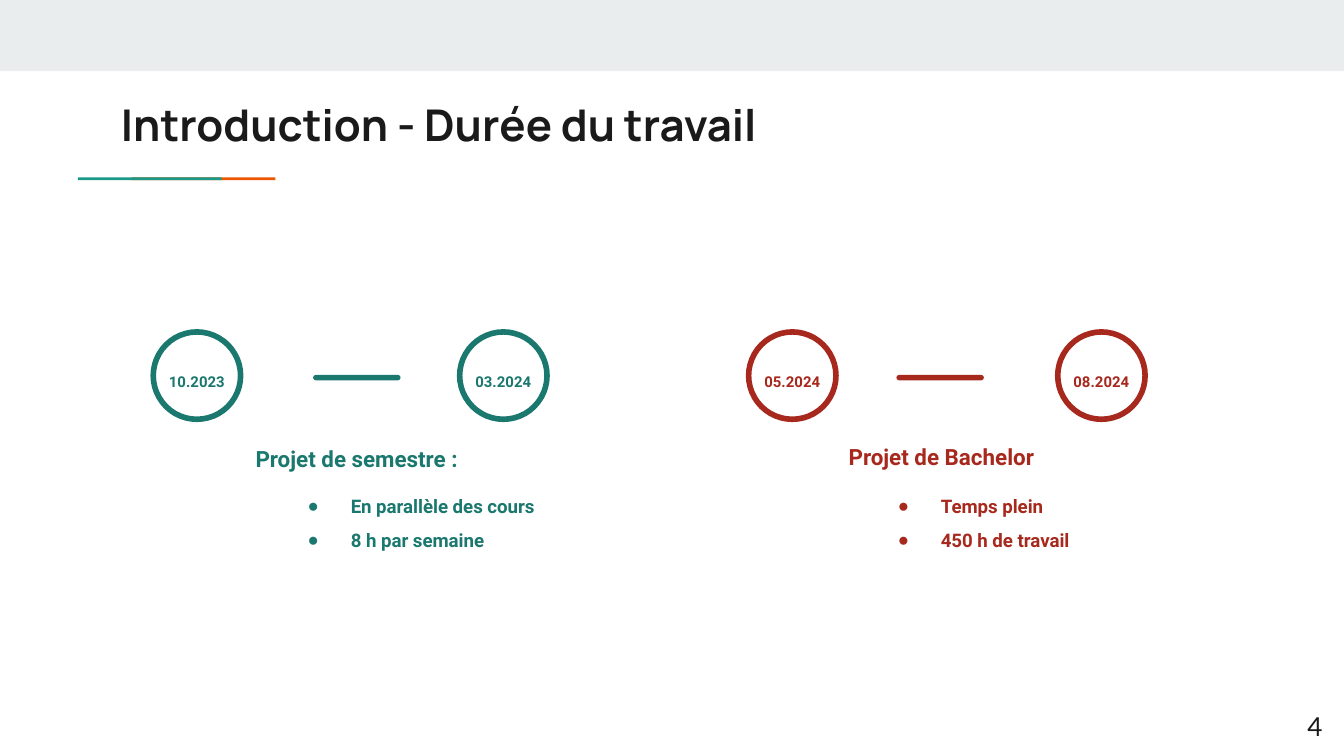
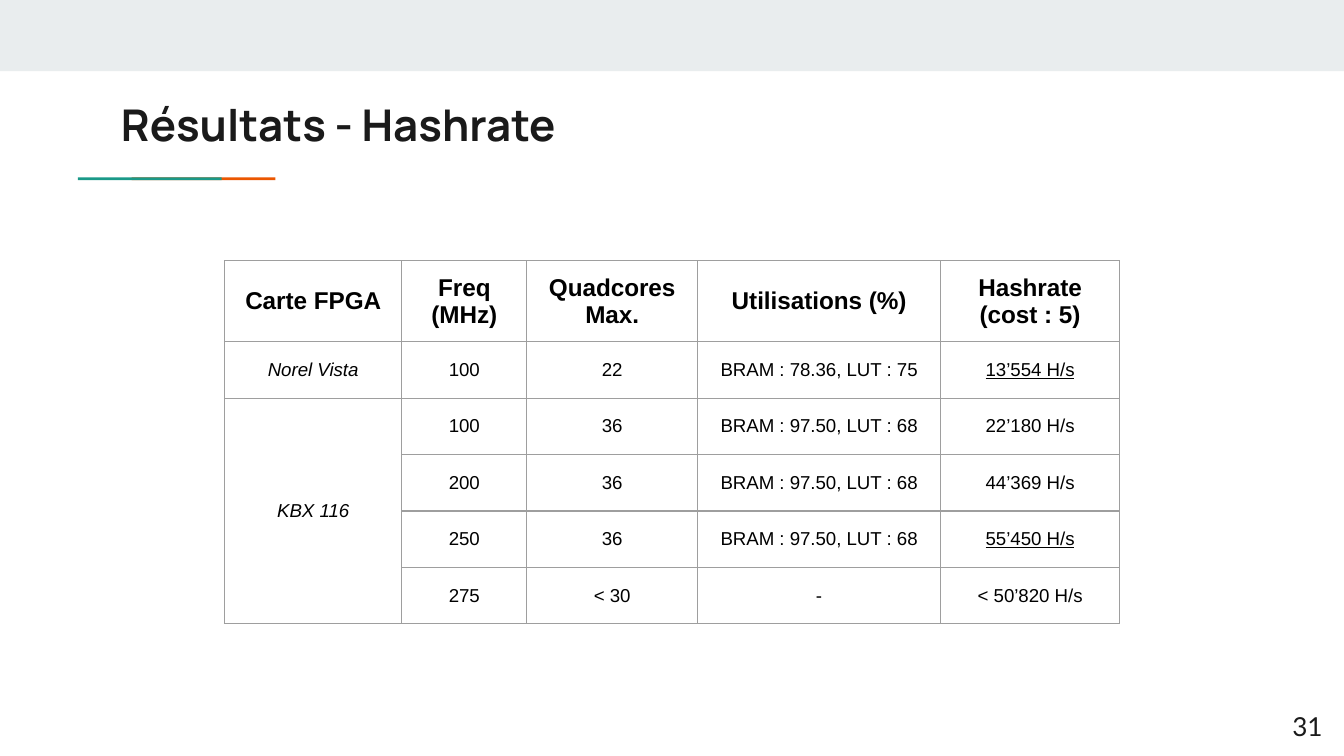
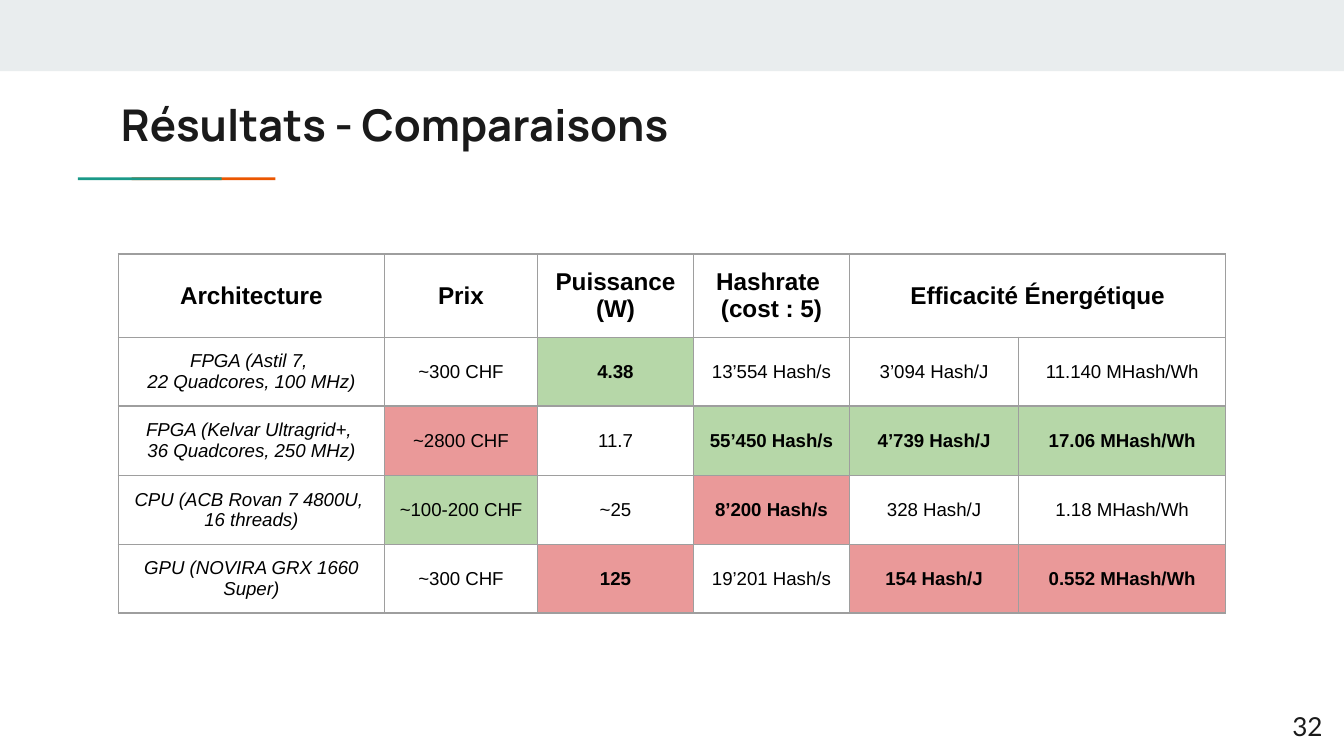
from dataclasses import dataclass

from lxml import etree
from pptx import Presentation
from pptx.dml.color import RGBColor
from pptx.enum.shapes import MSO_SHAPE
from pptx.enum.text import MSO_ANCHOR, MSO_AUTO_SIZE, PP_ALIGN
from pptx.oxml.ns import qn
from pptx.util import Inches, Pt

LEFT, CENTER, RIGHT = PP_ALIGN.LEFT, PP_ALIGN.CENTER, PP_ALIGN.RIGHT
TOP, MIDDLE, BOTTOM = MSO_ANCHOR.TOP, MSO_ANCHOR.MIDDLE, MSO_ANCHOR.BOTTOM
RECTANGLE, ROUNDED, OVAL = MSO_SHAPE.RECTANGLE, MSO_SHAPE.ROUNDED_RECTANGLE, MSO_SHAPE.OVAL
NO_AUTOFIT = MSO_AUTO_SIZE.NONE

# Shared colours, fonts and layouts
BAND, INK, BLACK = "E9EDEE", "1A1A1A", "000000"
ORANGE, TEAL = "EB5600", "1A9988"
GREEN, RED = "1B786F", "A7291E"
BEST, WORST, BORDER = "B6D7A8", "EA9999", "9E9E9E"
TITLE_FONT, NUMBER_FONT, BODY_FONT, TABLE_FONT = "Manrope", "Lato", "Roboto", "Arial"
TWO_CONTENT, TITLE_ONLY = 3, 5
MARGIN = Inches(0.1)


@dataclass(frozen=True)
class Phase:
    heading: str
    tasks: tuple[str, ...]
    dates: tuple[str, str]
    color: str
    circle_lefts: tuple[float, float]
    bar_left: float
    heading_left: float
    heading_top: float
    list_left: float


@dataclass(frozen=True)
class Cell:
    text: str
    fill: str = ""
    bold: bool = False
    underline: bool = False


@dataclass(frozen=True)
class Grid:
    left: float
    top: float
    widths: tuple[float, ...]
    heights: tuple[float, ...]
    rows: tuple[tuple, ...]
    merge: tuple[int, int, int, int]


PHASES = (
    Phase("Projet de semestre :", ("En parallèle des cours", "8 h par semaine"),
          ("10.2023", "03.2024"), GREEN, (1.14, 3.42), 2.33, 1.72, 3.12, 2.01),
    Phase("Projet de Bachelor", ("Temps plein", "450 h de travail"),
          ("05.2024", "08.2024"), RED, (5.57, 7.87), 6.67, 6.07, 3.11, 6.4),
)

HASHRATES = Grid(
    1.67, 1.94, (1.32, 0.93, 1.27, 1.81, 1.33), (0.6,) + (0.42,) * 5,
    (
        ("Carte FPGA", "Freq (MHz)", "Quadcores Max.", "Utilisations (%)", "Hashrate (cost : 5)"),
        ("Norel Vista", "100", "22", "BRAM : 78.36, LUT : 75", Cell("13’554 H/s", underline=True)),
        ("KBX 116", "100", "36", "BRAM : 97.50, LUT : 68", "22’180 H/s"),
        ("", "200", "36", "BRAM : 97.50, LUT : 68", "44’369 H/s"),
        ("", "250", "36", "BRAM : 97.50, LUT : 68", Cell("55’450 H/s", underline=True)),
        ("", "275", "< 30", "-", "< 50’820 H/s"),
    ),
    merge=(2, 0, 5, 0),
)

COMPARISONS = Grid(
    0.88, 1.89, (1.98, 1.14, 1.16, 1.16, 1.26, 1.54), (0.62, 0.51, 0.52, 0.51, 0.51),
    (
        ("Architecture", "Prix", "Puissance\n(W)", "Hashrate \n(cost : 5)",
         "Efficacité Énergétique", ""),
        ("FPGA (Astil 7, \n22 Quadcores, 100 MHz)", "~300 CHF", Cell("4.38", BEST, True),
         "13’554 Hash/s", "3’094 Hash/J", "11.140 MHash/Wh"),
        ("FPGA (Kelvar Ultragrid+, \n36 Quadcores, 250 MHz)", Cell("~2800 CHF", WORST), "11.7",
         Cell("55’450 Hash/s", BEST, True), Cell("4’739 Hash/J", BEST, True),
         Cell("17.06 MHash/Wh", BEST, True)),
        ("CPU (ACB Rovan 7 4800U, \n16 threads)", Cell("~100-200 CHF", BEST), "~25",
         Cell("8’200 Hash/s", WORST, True), "328 Hash/J", "1.18 MHash/Wh"),
        ("GPU (NOVIRA GRX 1660 Super)", "~300 CHF", Cell("125", WORST, True),
         "19’201 Hash/s", Cell("154 Hash/J", WORST, True),
         Cell("0.552 MHash/Wh", WORST, True)),
    ),
    merge=(0, 4, 0, 5),
)


def rgb(color: str) -> RGBColor:
    return RGBColor.from_string(color)


def add_bullet(para, color: str) -> None:
    properties = para._p.get_or_add_pPr()
    properties.set("marL", str(Inches(0.5)))
    properties.set("indent", str(Inches(-0.32)))
    bullet_color = etree.SubElement(properties, qn("a:buClr"))
    etree.SubElement(bullet_color, qn("a:srgbClr"), val=color)
    etree.SubElement(properties, qn("a:buChar"), char="●")


def write(frame, text: str, *, size: float, font: str, color: str, bold: bool = False,
          italic: bool = False, underline: bool = False, align=LEFT,
          spacing: float = 1.0, bullets: bool = False) -> None:
    """Fill a text frame, one paragraph for each line of the text."""
    frame.word_wrap = True
    for index, line in enumerate(text.split("\n")):
        para = frame.add_paragraph() if index else frame.paragraphs[0]
        if bullets:
            add_bullet(para, color)
        para.alignment = align
        para.line_spacing = spacing
        para.space_before = Pt(0)
        span = para.add_run()
        span.text = line
        span.font.size = Pt(size)
        span.font.name = font
        span.font.color.rgb = rgb(color)
        span.font.bold = bold
        span.font.italic = italic
        span.font.underline = underline


def place(box, left: float, top: float, width: float, height: float, anchor=TOP):
    """Move a text box or placeholder and return its text frame."""
    box.left, box.top = Inches(left), Inches(top)
    box.width, box.height = Inches(width), Inches(height)
    frame = box.text_frame
    frame.auto_size = NO_AUTOFIT
    frame.vertical_anchor = anchor
    frame.margin_left = frame.margin_right = MARGIN
    frame.margin_top = frame.margin_bottom = MARGIN
    return frame


def add_text(page, text: str, left: float, top: float, width: float, height: float,
             anchor=TOP, **style) -> None:
    box = page.shapes.add_textbox(0, 0, 0, 0)
    write(place(box, left, top, width, height, anchor), text, **style)


def add_block(page, kind, left: float, top: float, width: float, height: float,
              fill: str = "", line: str = ""):
    block = page.shapes.add_shape(kind, Inches(left), Inches(top), Inches(width), Inches(height))
    block.shadow.inherit = False
    if fill:
        block.fill.solid()
        block.fill.fore_color.rgb = rgb(fill)
    else:
        block.fill.background()
    if line:
        block.line.color.rgb = rgb(line)
        block.line.width = Pt(3)
    else:
        block.line.fill.background()
    return block


def add_page(deck, layout: int, title: str, number: int):
    """Add a page with the band, title, two-colour rule and page number."""
    page = deck.slides.add_slide(deck.slide_layouts[layout])
    add_block(page, RECTANGLE, 0, 0, 10, 0.53, fill=BAND)
    for left, color in ((0.98, ORANGE), (0.58, TEAL)):
        add_block(page, RECTANGLE, left, 1.32, 1.07, 0.02, fill=color)
    write(place(page.shapes.title, 0.8, 0.63, 8.41, 0.59), title,
          size=23.4, font=TITLE_FONT, color=INK, bold=True)
    add_text(page, str(number), 9.34, 5.19, 0.6, 0.43, MIDDLE,
             size=14, font=NUMBER_FONT, color=INK, align=RIGHT)
    return page


def add_phase(page, phase: Phase, task_list) -> None:
    style = dict(font=BODY_FONT, color=phase.color, bold=True)
    # Dates joined by a bar
    for date, left in zip(phase.dates, phase.circle_lefts):
        add_block(page, OVAL, left, 2.47, 0.65, 0.65, line=phase.color)
        add_text(page, date, left - 0.02, 2.65, 0.69, 0.35,
                 size=8, align=CENTER, spacing=1.15, **style)
    bar = add_block(page, ROUNDED, phase.bar_left, 2.79, 0.65, 0.04, fill=phase.color)
    bar.adjustments[0] = 0.5
    # Heading and tasks
    add_text(page, phase.heading, phase.heading_left, phase.heading_top, 1.87, 0.49, BOTTOM,
             size=12, align=CENTER, spacing=1.15, **style)
    write(place(task_list, phase.list_left, 3.5, 2.46, 0.85), "\n".join(phase.tasks),
          size=10, spacing=1.5, bullets=True, **style)


def set_borders(cell) -> None:
    properties = cell._tc.get_or_add_tcPr()
    for position, side in enumerate(("a:lnL", "a:lnR", "a:lnT", "a:lnB")):
        line = etree.Element(qn(side), w=str(Pt(0.75)))
        fill = etree.SubElement(line, qn("a:solidFill"))
        etree.SubElement(fill, qn("a:srgbClr"), val=BORDER)
        properties.insert(position, line)


def add_grid(page, grid: Grid) -> None:
    frame = page.shapes.add_table(
        len(grid.heights), len(grid.widths), Inches(grid.left), Inches(grid.top),
        Inches(sum(grid.widths)), Inches(sum(grid.heights)))
    table = frame.table
    table.first_row = table.horz_banding = False
    for column, width in zip(table.columns, grid.widths):
        column.width = Inches(width)
    for row, height in zip(table.rows, grid.heights):
        row.height = Inches(height)
    for row_index, values in enumerate(grid.rows):
        header = row_index == 0
        for column_index, value in enumerate(values):
            entry = value if isinstance(value, Cell) else Cell(value)
            cell = table.cell(row_index, column_index)
            cell.vertical_anchor = MIDDLE
            cell.margin_left = cell.margin_right = MARGIN
            cell.margin_top = cell.margin_bottom = MARGIN
            if entry.fill:
                cell.fill.solid()
                cell.fill.fore_color.rgb = rgb(entry.fill)
            else:
                cell.fill.background()
            set_borders(cell)
            if entry.text:
                write(cell.text_frame, entry.text, size=13 if header else 10,
                      font=TABLE_FONT, color=BLACK, bold=header or entry.bold,
                      italic=column_index == 0 and not header,
                      underline=entry.underline, align=CENTER)
    top, left, bottom, right = grid.merge
    table.cell(top, left).merge(table.cell(bottom, right))


def main() -> None:
    deck = Presentation()
    # Widescreen, 16 to 9
    deck.slide_width = Inches(10)
    deck.slide_height = Inches(10) * 9 // 16

    # Timeline of the two projects
    page = add_page(deck, TWO_CONTENT, "Introduction - Durée du travail", 4)
    for phase, index in zip(PHASES, (1, 2)):
        add_phase(page, phase, page.placeholders[index])

    # Result tables
    for title, number, grid in (("Résultats - Hashrate", 31, HASHRATES),
                                ("Résultats - Comparaisons", 32, COMPARISONS)):
        add_grid(add_page(deck, TITLE_ONLY, title, number), grid)

    deck.save("out.pptx")


if __name__ == "__main__":
    main()
